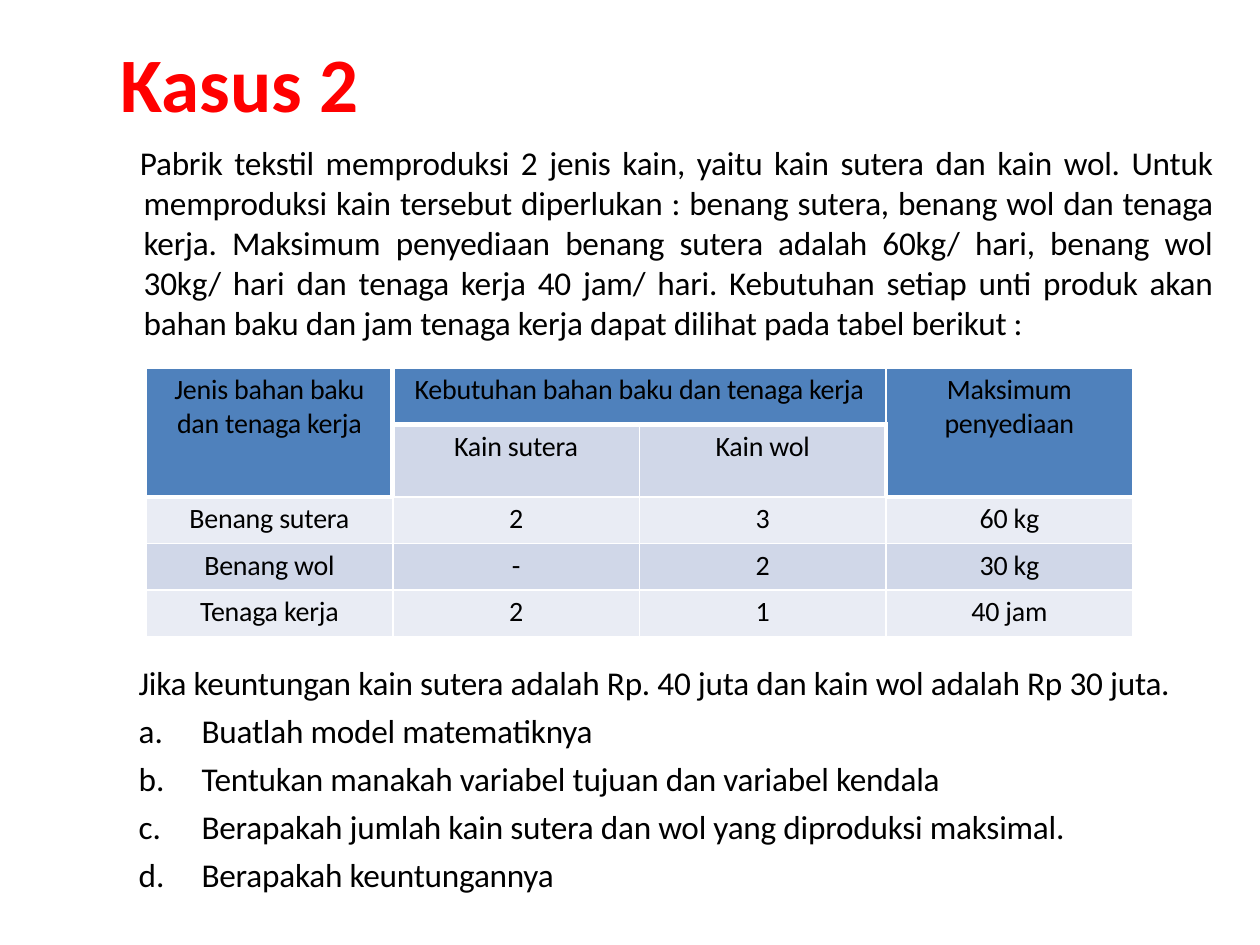
from dataclasses import dataclass

import pptx
import pptx.dml.color
import pptx.enum.text
import pptx.oxml.ns
import pptx.util
from lxml import etree
from pptx.util import Inches

ALIGN = pptx.enum.text.PP_ALIGN


@dataclass(frozen=True)
class Theme:
    font: str = "Calibri"
    title: str = "FF0000"
    text: str = "000000"
    header: str = "4F81BC"
    dark_band: str = "D0D7E8"
    light_band: str = "E9ECF4"
    border: str = "FFFFFF"
    title_size: float = 44
    body_size: float = 19
    cell_size: float = 16
    spacing: float = -0.1
    thin: float = 1
    thick: float = 3


THEME = Theme()


@dataclass(frozen=True)
class Cell:
    row: int
    column: int
    text: str
    fill: str
    rows: int = 1
    columns: int = 1
    thick: str = ""  # sides with a heavy border: L, R, T, B


def add_element(parent, tag: str, **attributes: str):
    return etree.SubElement(parent, pptx.oxml.ns.qn(tag), attributes)


def color(value: str) -> pptx.dml.color.RGBColor:
    return pptx.dml.color.RGBColor.from_string(value)


def write(frame, text: str, *, first: bool = False, size: float = THEME.body_size,
          ink: str = THEME.text, bold: bool = False, align=ALIGN.LEFT,
          before: float = 0, left: float = 0.01, indent: float = 0,
          lettered: bool = False) -> None:
    """Add one formatted paragraph to a text frame."""
    para = frame.paragraphs[0] if first else frame.add_paragraph()
    para.alignment = align
    para.space_before = pptx.util.Pt(before)
    properties = para._p.get_or_add_pPr()
    properties.set("marL", str(Inches(left)))
    properties.set("indent", str(Inches(indent)))
    if lettered:
        add_element(properties, "a:buAutoNum", type="alphaLcPeriod")
        tabs = add_element(properties, "a:tabLst")
        add_element(tabs, "a:tab", pos=str(Inches(left)), algn="l")
    span = para.add_run()
    span.text = text
    span.font.name = THEME.font
    span.font.size = pptx.util.Pt(size)
    span.font.bold = bold
    span.font.color.rgb = color(ink)
    span.font._element.set("spc", str(round(THEME.spacing * 100)))


def add_box(page, left: float, top: float, width: float, height: float, inset: float):
    box = page.shapes.add_textbox(Inches(left), Inches(top), Inches(width), Inches(height))
    frame = box.text_frame
    frame.word_wrap = True
    frame.auto_size = pptx.enum.text.MSO_AUTO_SIZE.SHAPE_TO_FIT_TEXT
    frame.margin_left = frame.margin_right = frame.margin_bottom = 0
    frame.margin_top = Inches(inset)
    return frame


def style_cell(cell, fill: str, thick: str) -> None:
    cell.margin_left = cell.margin_right = cell.margin_bottom = 0
    cell.margin_top = Inches(0.04)
    properties = cell._tc.get_or_add_tcPr()
    for side in "LRTB":
        width = THEME.thick if side in thick else THEME.thin
        line = add_element(properties, f"a:ln{side}", w=str(pptx.util.Pt(width)))
        add_element(add_element(line, "a:solidFill"), "a:srgbClr", val=THEME.border)
    cell.fill.solid()
    cell.fill.fore_color.rgb = color(fill)


def draw_cell(table, item: Cell) -> None:
    last_row = item.row + item.rows - 1
    last_column = item.column + item.columns - 1
    for row in range(item.row, last_row + 1):
        for column in range(item.column, last_column + 1):
            style_cell(table.cell(row, column), item.fill, item.thick)
    cell = table.cell(item.row, item.column)
    if (item.rows, item.columns) != (1, 1):
        cell.merge(table.cell(last_row, last_column))
    for number, line in enumerate(item.text.split("\n")):
        write(cell.text_frame, line, first=number == 0, size=THEME.cell_size,
              align=ALIGN.CENTER, left=0)


HEADERS = [
    Cell(0, 0, "Jenis bahan baku\ndan tenaga kerja", THEME.header, rows=2, thick="RB"),
    Cell(0, 1, "Kebutuhan bahan baku dan tenaga kerja", THEME.header, columns=2, thick="LB"),
    Cell(0, 3, "Maksimum\npenyediaan", THEME.header, rows=2, thick="B"),
    Cell(1, 1, "Kain sutera", THEME.dark_band, thick="LT"),
    Cell(1, 2, "Kain wol", THEME.dark_band, thick="TR"),
]
MATERIALS = [
    ("Benang sutera", "2", "3", "60 kg"),
    ("Benang wol", "-", "2", "30 kg"),
    ("Tenaga kerja", "2", "1", "40 jam"),
]
CASE = (
    "Pabrik tekstil memproduksi 2 jenis kain, yaitu kain sutera dan kain wol. Untuk "
    "memproduksi kain tersebut diperlukan : benang sutera, benang wol dan tenaga kerja. "
    "Maksimum penyediaan benang sutera adalah 60kg/ hari, benang wol 30kg/ hari dan "
    "tenaga kerja 40 jam/ hari. Kebutuhan setiap unti produk akan bahan baku dan jam "
    "tenaga kerja dapat dilihat pada tabel berikut :"
)
QUESTIONS = [
    "Buatlah model matematiknya",
    "Tentukan manakah variabel tujuan dan variabel kendala",
    "Berapakah jumlah kain sutera dan wol yang diproduksi maksimal.",
    "Berapakah keuntungannya",
]


def add_materials_table(page) -> None:
    heights = [0.45] + [0.37] * 4
    table = page.shapes.add_table(len(heights), 4, Inches(1.16), Inches(2.92),
                                  Inches(7.83), Inches(sum(heights))).table
    table.first_row = table.horz_banding = False
    for row, height in zip(table.rows, heights):
        row.height = Inches(height)
    for item in HEADERS:
        draw_cell(table, item)
    for row, values in enumerate(MATERIALS, start=2):
        band = THEME.dark_band if row % 2 else THEME.light_band
        for column, value in enumerate(values):
            heavy = "T" if row == 2 and column in (0, 3) else ""
            draw_cell(table, Cell(row, column, value, band, thick=heavy))


def main() -> None:
    deck = pptx.Presentation()
    deck.slide_width, deck.slide_height = Inches(10), Inches(7.5)
    page = deck.slides.add_slide(deck.slide_layouts[6])

    # Title and case description
    intro = add_box(page, 0.95, 0, 8.68, 2.73, inset=0.28)
    write(intro, "Kasus 2", first=True, size=THEME.title_size, ink=THEME.title, bold=True)
    write(intro, CASE, align=ALIGN.JUSTIFY, before=8.4, left=0.19, indent=-0.03)

    # Profit statement and lettered questions
    tasks = add_box(page, 1.09, 5.18, 8.35, 1.93, inset=0.08)
    write(tasks, "Jika keuntungan kain sutera adalah Rp. 40 juta dan kain wol adalah "
                 "Rp 30 juta.", first=True)
    for question in QUESTIONS:
        write(tasks, question, before=4.5, left=0.51, indent=-0.5, lettered=True)

    # Material requirements
    add_materials_table(page)

    deck.save("out.pptx")


if __name__ == "__main__":
    main()
